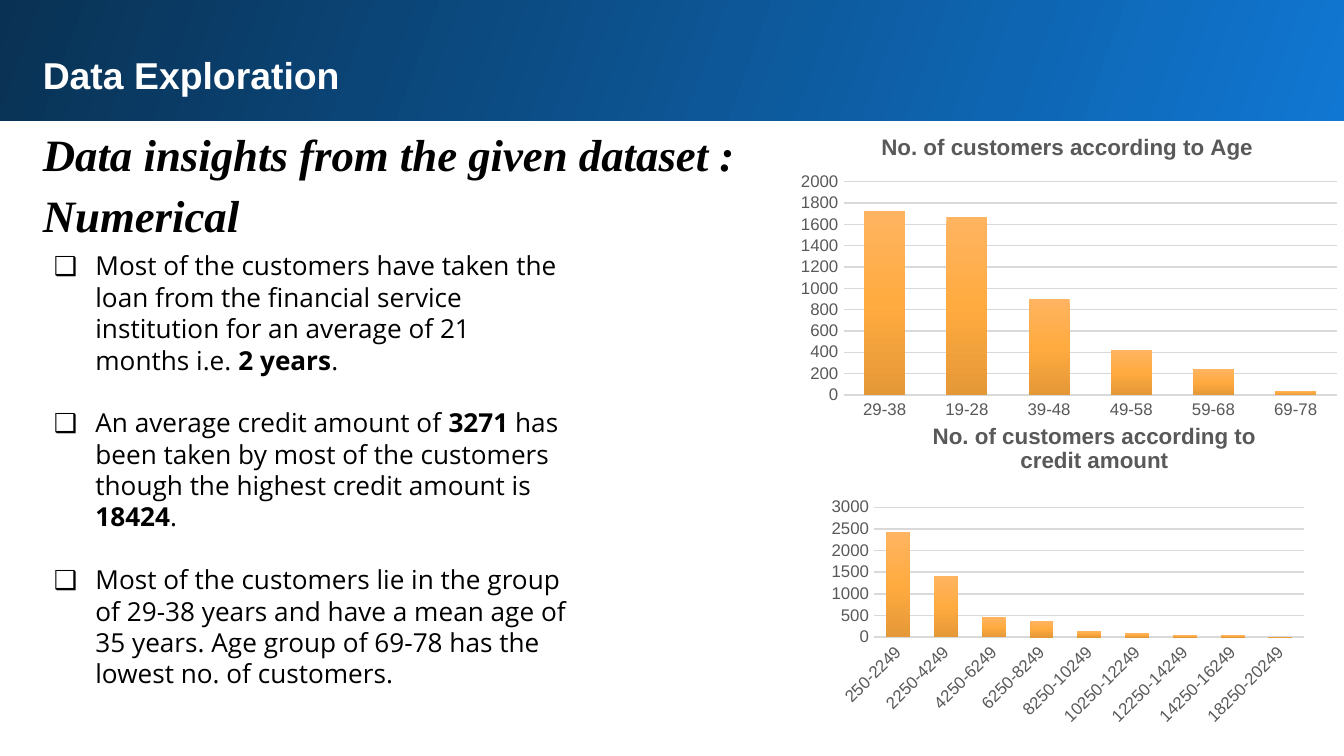
from dataclasses import dataclass

from lxml.etree import SubElement
from pptx import Presentation
from pptx.chart.data import CategoryChartData
from pptx.dml.color import RGBColor
from pptx.enum.chart import XL_CHART_TYPE, XL_TICK_MARK
from pptx.enum.shapes import MSO_SHAPE
from pptx.oxml.ns import qn
from pptx.util import Inches, Pt


@dataclass(frozen=True)
class Theme:
    white: str = "FFFFFF"
    black: str = "000000"
    label: str = "595959"
    grid: str = "D9D9D9"
    banner: tuple = ((0, "1077D2"), (100, "093153"))
    bars: tuple = ((0, "FFB461"), (50, "FFAB40"), (100, "E59837"))
    sans: str = "Arial"
    serif: str = "Times New Roman"
    body: str = "Open Sans"
    title_size: int = 20
    heading_size: int = 24
    body_size: int = 14
    chart_size: int = 10
    chart_title_size: int = 12
    axis_size: int = 9


THEME = Theme()

INSIGHTS = [
    [("Most of the customers have taken the loan from the financial service "
      "institution for an average of 21 months i.e. ", False),
     ("2 years", True), (".", False)],
    [("An average credit amount of ", False), ("3271", True),
     (" has been taken by most of the customers though the highest credit "
      "amount is ", False), ("18424", True), (".", False)],
    [("Most of the customers lie in the group of 29-38 years and have a mean "
      "age of 35 years. Age group of 69-78 has the lowest no. of customers.",
      False)],
]
AGE = {"29-38": 1730, "19-28": 1670, "39-48": 900, "49-58": 420,
       "59-68": 240, "69-78": 40}
CREDIT = {"250-2249": 2430, "2250-4249": 1420, "4250-6249": 460,
          "6250-8249": 370, "8250-10249": 140, "10250-12249": 90,
          "12250-14249": 40, "14250-16249": 40, "18250-20249": 0}


def style_font(font, name, size, color, bold=False, italic=False):
    font.name = name
    font.size = Pt(size)
    font.bold = bold
    font.italic = italic
    font.color.rgb = RGBColor.from_string(color)


def fill_gradient(fill, properties, stops, angle):
    """Fill with (percent, colour) stops, the angle running clockwise."""
    fill.gradient()
    gradient = properties.find(qn("a:gradFill"))
    gradient.clear()
    stop_list = SubElement(gradient, qn("a:gsLst"))
    for percent, color in stops:
        stop = SubElement(stop_list, qn("a:gs"), pos=str(percent * 1000))
        SubElement(stop, qn("a:srgbClr"), val=color)
    SubElement(gradient, qn("a:lin"), ang=str(angle * 60000), scaled="0")


def add_text_frame(page, box, inset):
    frame = page.shapes.add_textbox(*map(Inches, box)).text_frame
    frame.word_wrap = True
    frame.margin_left = frame.margin_right = Inches(inset)
    frame.margin_top = frame.margin_bottom = Inches(inset)
    return frame


def add_banner(page, box):
    left, top, width, height = box
    banner = page.shapes.add_shape(MSO_SHAPE.RECTANGLE, *map(Inches, box))
    banner.shadow.inherit = False
    banner.line.fill.background()
    fill_gradient(banner.fill, banner._element.spPr, THEME.banner, 200)
    frame = add_text_frame(
        page, (left + 0.24, top + 0.31, width - 0.68, 0.51), 0.1)
    frame.text = "Data Exploration"
    style_font(frame.paragraphs[0].runs[0].font, THEME.sans,
               THEME.title_size, THEME.white, bold=True)


def add_heading(page, box):
    frame = add_text_frame(page, box, 0.1)
    frame.text = "Data insights from the given dataset :\nNumerical"
    for para in frame.paragraphs:
        para.line_spacing = 1.15
        style_font(para.runs[0].font, THEME.serif, THEME.heading_size,
                   THEME.black, bold=True, italic=True)


def add_insights(page, box):
    frame = add_text_frame(page, box, 0.05)
    for index, parts in enumerate(INSIGHTS):
        para = frame.add_paragraph() if index else frame.paragraphs[0]
        properties = para._p.get_or_add_pPr()
        properties.set("marL", str(Inches(0.31)))
        properties.set("indent", str(Inches(-0.31)))
        SubElement(properties, qn("a:buFont"), typeface=THEME.body)
        SubElement(properties, qn("a:buChar"), char="❑")
        if index:
            para.space_before = Pt(16.8)
        for text, bold in parts:
            span = para.add_run()
            span.text = text
            style_font(span.font, THEME.body, THEME.body_size,
                       THEME.black, bold=bold)


def set_layout(parent, position, **values):
    """Place a chart part by fractions of the chart's own size."""
    for old in parent.findall(qn("c:layout")):
        parent.remove(old)
    layout = parent.makeelement(qn("c:layout"), {})
    parent.insert(position, layout)
    manual = SubElement(layout, qn("c:manualLayout"))
    if "w" in values:
        SubElement(manual, qn("c:layoutTarget"), val="inner")
    for side in ("x", "y"):
        SubElement(manual, qn(f"c:{side}Mode"), val="edge")
    for key, value in values.items():
        SubElement(manual, qn(f"c:{key}"), val=str(value))


def style_axis(axis):
    axis.major_tick_mark = axis.minor_tick_mark = XL_TICK_MARK.NONE
    style_font(axis.tick_labels.font, THEME.sans, THEME.axis_size, THEME.label)


def add_column_chart(page, box, title, counts, scale, title_at, plot, turn=0):
    data = CategoryChartData()
    data.categories = list(counts)
    data.add_series("Series 1", list(counts.values()))
    chart = page.shapes.add_chart(
        XL_CHART_TYPE.COLUMN_CLUSTERED, *map(Inches, box), data).chart
    style_font(chart.font, THEME.sans, THEME.chart_size, THEME.black)
    chart.has_legend = False
    chart.has_title = True
    chart.chart_title.text_frame.text = title
    style_font(chart.chart_title.text_frame.paragraphs[0].runs[0].font,
               THEME.sans, THEME.chart_title_size, THEME.label, bold=True)
    chart.chart_title.include_in_layout = False
    set_layout(chart.chart_title._element, 1, **title_at)
    set_layout(chart._chartSpace.chart.plotArea, 0, **plot)

    columns = chart.plots[0]
    columns.gap_width = 100
    columns.overlap = -24
    columns.vary_by_categories = False
    series = columns.series[0]
    fill_gradient(series.format.fill, series._element.get_or_add_spPr(),
                  THEME.bars, 90)

    grid_color = RGBColor.from_string(THEME.grid)
    categories, values = chart.category_axis, chart.value_axis
    style_axis(categories)
    categories.format.line.color.rgb = grid_color
    categories.format.line.width = Pt(1)
    if turn:
        body = categories._element.find(qn("c:txPr")).find(qn("a:bodyPr"))
        body.set("rot", str(turn * 60000))
    style_axis(values)
    values.minimum_scale = 0
    values.maximum_scale, values.major_unit = scale
    values.format.line.fill.background()
    values.major_gridlines.format.line.color.rgb = grid_color
    values.major_gridlines.format.line.width = Pt(0.75)


def main():
    deck = Presentation()
    deck.slide_width = Inches(10)
    deck.slide_height = deck.slide_width * 9 // 16
    page = deck.slides.add_slide(deck.slide_layouts[6])
    add_banner(page, (-0.02, -0.02, 10.05, 0.92))
    add_heading(page, (0.22, 0.78, 9.37, 1.09))
    add_insights(page, (0.35, 1.81, 3.92, 3.64))
    add_column_chart(
        page, (5.86, 0.87, 4.17, 2.3), "No. of customers according to Age",
        AGE, (2000, 200), {"x": 0.16, "y": 0.04},
        {"x": 0.1, "y": 0.21, "w": 0.88, "h": 0.69})
    add_column_chart(
        page, (6.1, 3.09, 3.68, 2.36),
        "No. of customers according to credit amount",
        CREDIT, (3000, 500), {"x": 0.22, "y": 0.01},
        {"x": 0.11, "y": 0.29, "w": 0.87, "h": 0.41}, turn=-45)
    deck.save("out.pptx")


if __name__ == "__main__":
    main()
